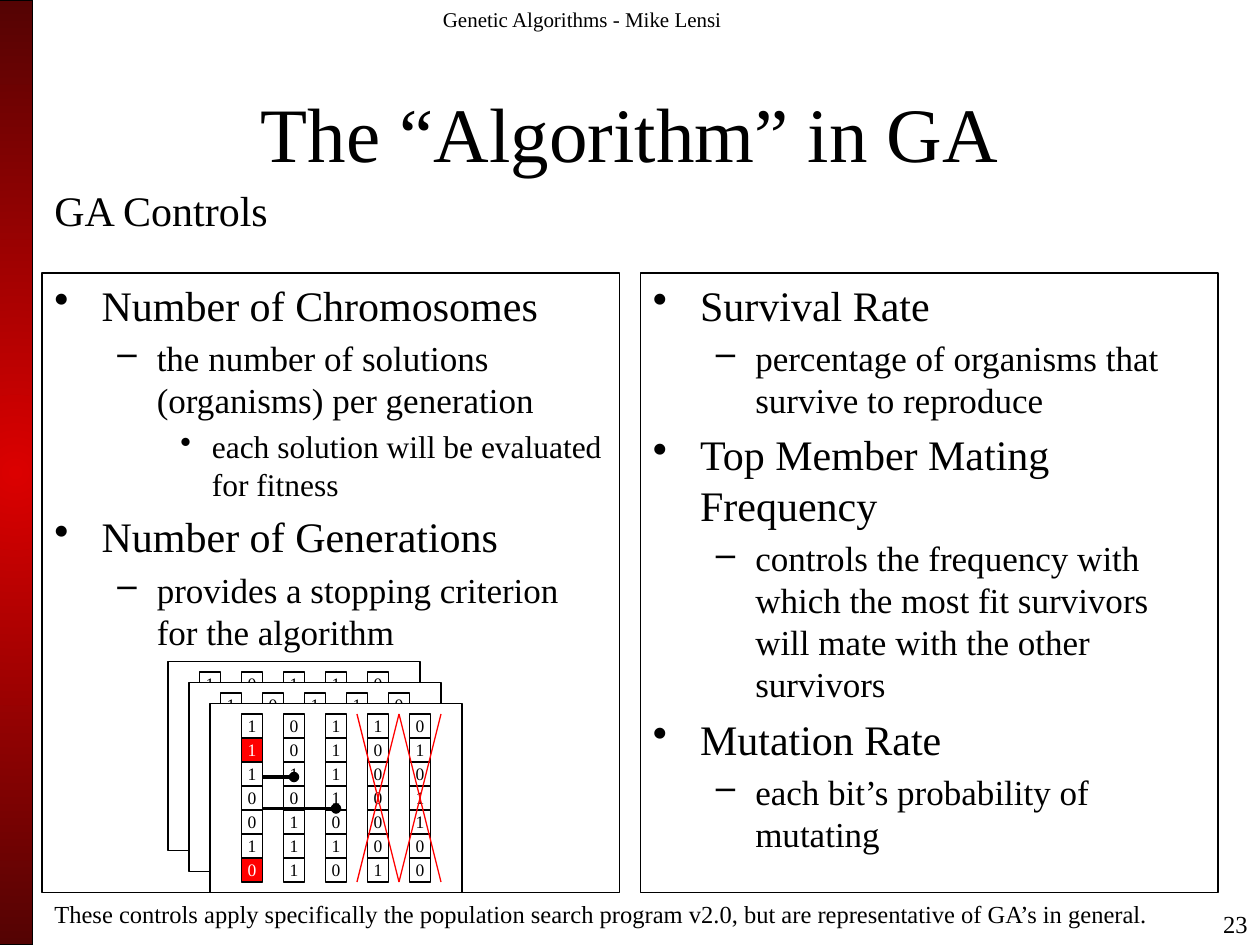
from lxml import etree
from pptx import Presentation, util as u
from pptx.dml.color import RGBColor
from pptx.enum import shapes as s, text as t
from pptx.oxml import parse_xml
from pptx.oxml.ns import qn, nsdecls

Pt = u.Pt
FONT = "Times New Roman"
COLORS = {"ink": "000000", "paper": "FFFFFF", "red": "FF0000",
          "strip_center": "DB0000", "strip_edge": "540303"}
RGB = {name: RGBColor.from_string(value) for name, value in COLORS.items()}

deck = Presentation()
deck.slide_width, deck.slide_height = Pt(720), Pt(540)
slide = deck.slides.add_slide(deck.slide_layouts[6])


def add_box(parent, left, top, width, height, fill=None):
    box = parent.add_shape(s.MSO_SHAPE.RECTANGLE, Pt(left), Pt(top), Pt(width), Pt(height))
    box.shadow.inherit = False
    if fill:
        box.fill.solid()
        box.fill.fore_color.rgb = RGB[fill]
    else:
        box.fill.background()
    box.line.color.rgb = RGB["ink"]
    box.line.width = Pt(0.75)
    return box


def write(paragraph, words, size, color="ink", align=t.PP_ALIGN.LEFT):
    paragraph.text = words
    paragraph.alignment = align
    for name, value in {"name": FONT, "size": Pt(size)}.items():
        setattr(paragraph.font, name, value)
    paragraph.font.color.rgb = RGB[color]


# Gradient strip along the left edge
strip = add_box(slide.shapes, -0.75, 0, 19.5, 540)
strip.fill.gradient()
for stop, color, position in zip(strip.fill.gradient_stops, ("strip_center", "strip_edge"), (0, 1)):
    stop.color.rgb = RGB[color]
    stop.position = position
gradient = strip._element.spPr.find(qn("a:gradFill"))
gradient.replace(gradient.find(qn("a:lin")), parse_xml(
    f'<a:path {nsdecls("a")} path="circle">'
    '<a:fillToRect l="50000" t="50000" r="50000" b="50000"/></a:path>'))

# Header, title, subtitle, footnote and page number
LEFT, CENTER, RIGHT = t.PP_ALIGN.LEFT, t.PP_ALIGN.CENTER, t.PP_ALIGN.RIGHT
TOP, MIDDLE = t.MSO_ANCHOR.TOP, t.MSO_ANCHOR.MIDDLE
labels = [
    ("Genetic Algorithms - Mike Lensi", (246, 0, 228, 24), 12, LEFT, TOP, True),
    ("23", (570, 516, 150, 24), 14, RIGHT, TOP, True),
    ("GA Controls", (24, 102, 684, 36), 24, LEFT, TOP, True),
    ("The “Algorithm” in GA", (24, 48, 672, 54), 44, CENTER, MIDDLE, True),
    ("These controls apply specifically the population search program v2.0, "
     "but are representative of GA’s in general.",
     (24, 510, 651, 24), 14, LEFT, MIDDLE, False),
]
for words, place, size, align, anchor, wrap in labels:
    frame = slide.shapes.add_textbox(*map(Pt, place)).text_frame
    for name, value in {"word_wrap": wrap, "vertical_anchor": anchor}.items():
        setattr(frame, name, value)
    write(frame.paragraphs[0], words, size, align=align)

# Two bulleted panels: level -> size, text margin, hanging indent, bullet
LEVELS = [(24, 27, 27, "•"), (20, 58.5, 22.5, "–"), (18, 90, 18, "•")]
panels = {
    24: [(0, "Number of Chromosomes"),
         (1, "the number of solutions (organisms) per generation"),
         (2, "each solution will be evaluated for fitness"),
         (0, "Number of Generations"),
         (1, "provides a stopping criterion for the algorithm")],
    366: [(0, "Survival Rate"),
          (1, "percentage of organisms that survive to reproduce"),
          (0, "Top Member Mating Frequency"),
          (1, "controls the frequency with which the most fit survivors "
              "will mate with the other survivors"),
          (0, "Mutation Rate"),
          (1, "each bit’s probability of mutating")],
}
for left, points in panels.items():
    frame = add_box(slide.shapes, left, 156, 330, 354).text_frame
    for name, value in {"word_wrap": True, "vertical_anchor": TOP}.items():
        setattr(frame, name, value)
    for index, (level, words) in enumerate(points):
        size, margin, hanging, bullet = LEVELS[level]
        paragraph = frame.add_paragraph() if index else frame.paragraphs[0]
        paragraph.level = level
        paragraph.space_before = Pt(0.2 * size if index else 0)
        properties = paragraph._p.get_or_add_pPr()
        properties.set("marL", str(Pt(margin)))
        properties.set("indent", str(-Pt(hanging)))
        etree.SubElement(properties, qn("a:buChar"), char=bullet)
        write(paragraph, words, size)

# Stack of three generations; each chromosome is a column of bits
CHROMOSOMES = ["1110010", "0010111", "1111010", "1000001", "0101100"]
MUTATED = {(0, 1), (0, 6)}
CARD_STEP, COLUMN_STEP, BIT_WIDTH, BIT_HEIGHT = 12, 24, 12, 96 / 7
for generation, visible_bits in enumerate((1, 1, 7)):
    card_left, card_top = 96 + generation * CARD_STEP, 378 + generation * CARD_STEP
    card = slide.shapes.add_group_shape().shapes
    add_box(card, card_left, card_top, 144, 108, "paper")
    bits_left, bits_top = card_left + 18, card_top + 6
    for column, bits in enumerate(CHROMOSOMES):
        for row, bit in enumerate(bits[:visible_bits]):
            mutated = visible_bits > 1 and (column, row) in MUTATED
            cell = add_box(card, bits_left + column * COLUMN_STEP, bits_top + row * BIT_HEIGHT,
                           BIT_WIDTH, BIT_HEIGHT, "red" if mutated else "paper")
            for name, value in {"word_wrap": False, "vertical_anchor": MIDDLE}.items():
                setattr(cell.text_frame, name, value)
            write(cell.text_frame.paragraphs[0], bit, 10, "paper" if mutated else "ink", CENTER)

# Crosses over the discarded chromosomes, then the crossover links
strokes = []
for cross_left in (204, 228):
    cross_right = cross_left + COLUMN_STEP
    strokes += [(cross_left, 408, cross_right, 504, "red", 0.75),
                (cross_right, 408, cross_left, 504, "red", 0.75)]
strokes += [(150, 444, 168, 444, "ink", 2), (150, 462, 192, 462, "ink", 2)]
for *ends, color, width in strokes:
    stroke = slide.shapes.add_connector(s.MSO_CONNECTOR.STRAIGHT, *map(Pt, ends))
    stroke.line.color.rgb = RGB[color]
    stroke.line.width = Pt(width)
    if color == "ink":
        etree.SubElement(stroke.line._get_or_add_ln(), qn("a:tailEnd"), type="oval")
    etree.SubElement(stroke._element.spPr, qn("a:effectLst"))

deck.save("out.pptx")
